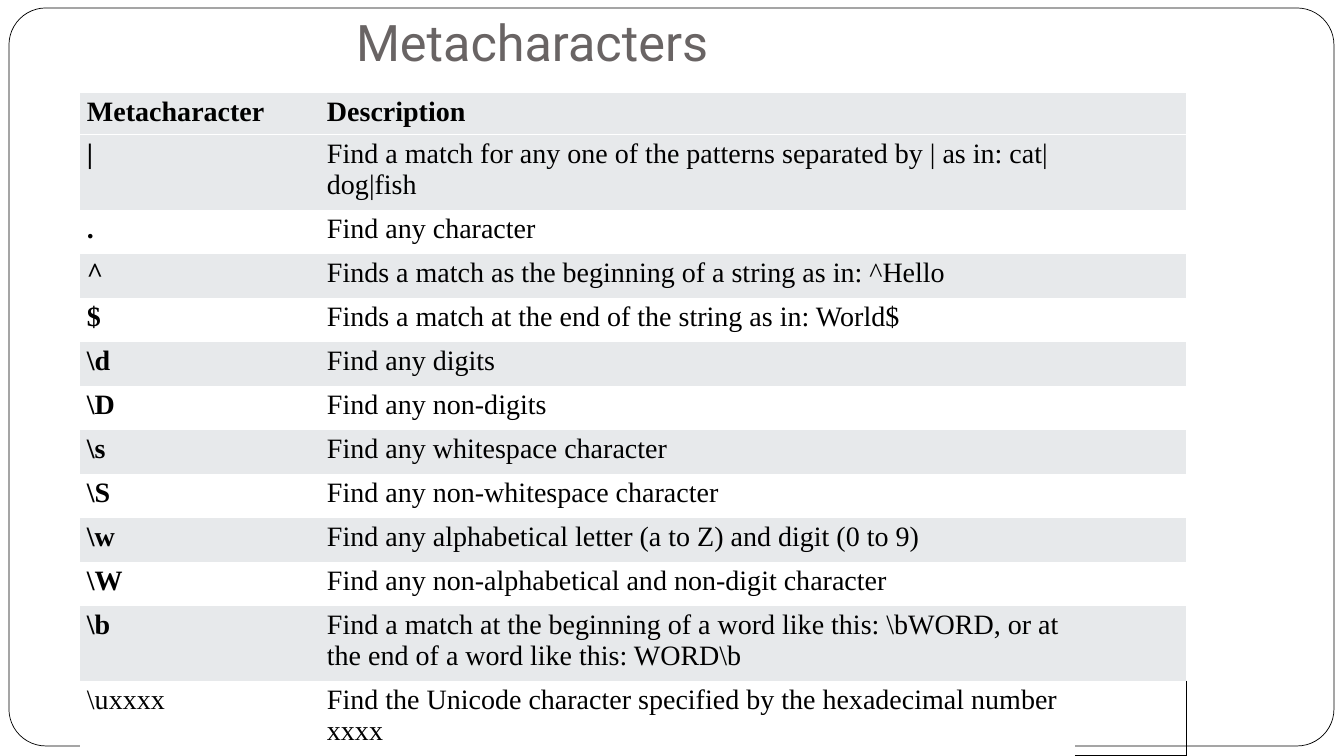
from lxml import etree
from pptx import Presentation
from pptx.dml.color import RGBColor as RGB
from pptx.enum.shapes import MSO_SHAPE as SHAPE
from pptx.enum.text import MSO_ANCHOR as ANCHOR
from pptx.oxml.ns import qn
from pptx.util import Pt

PX = 914400 / 100.8
COLORS = {"paper": "FFFFFF", "ink": "000000", "title": "696464", "band": "E7E9EB"}
NO_GRID = "{2D5ABB26-0587-4C30-8999-92F81FD0307C}"
ROWS = [
    ("Metacharacter", "Description"),
    ("|", "Find a match for any one of the patterns separated by | as in: cat|dog|fish"),
    (".", "Find any character"),
    ("^", "Finds a match as the beginning of a string as in: ^Hello"),
    ("$", "Finds a match at the end of the string as in: World$"),
    (r"\d", "Find any digits"),
    (r"\D", "Find any non-digits"),
    (r"\s", "Find any whitespace character"),
    (r"\S", "Find any non-whitespace character"),
    (r"\w", "Find any alphabetical letter (a to Z) and digit (0 to 9)"),
    (r"\W", "Find any non-alphabetical and non-digit character"),
    (r"\b", r"Find a match at the beginning of a word like this: \bWORD, "
            r"or at the end of a word like this: WORD\b"),
    (r"\uxxxx", "Find the Unicode character specified by the hexadecimal number xxxx"),
]
COLS = [243, 752, 111]
HEIGHTS = [38, 70] + [44] * 9 + [69, 71]


def px(*values):
    return [round(v * PX) for v in values]


def rgb(name):
    return RGB.from_string(COLORS[name])


class Deck:
    """Holds the text styles and the current slide."""

    styles = {
        "title": {"name": "Roboto", "size": Pt(36), "bold": False},
        "head": {"name": "Times New Roman", "size": Pt(20), "bold": True},
        "body": {"name": "Times New Roman", "size": Pt(20), "bold": False},
    }

    def __init__(self, width, height):
        self.prs = Presentation()
        self.prs.slide_width, self.prs.slide_height = px(width, height)
        self.s = self.prs.slides.add_slide(self.prs.slide_layouts[6])

    def add_text(self, tf, text, style, color):
        r = tf.paragraphs[0].add_run()
        r.text = text
        for key, value in self.styles[style].items():
            setattr(r.font, key, value)
        r.font.color.rgb = rgb(color)

    def frame(self, *box):
        sp = self.s.shapes.add_shape(SHAPE.ROUNDED_RECTANGLE, *px(*box))
        sp.adjustments[0] = 0.05
        sp.shadow.inherit = False
        sp.fill.solid()
        sp.fill.fore_color.rgb = rgb("paper")
        sp.line.color.rgb = rgb("ink")
        sp.line.width = Pt(0.5)

    def title(self, text, *box):
        tf = self.s.shapes.add_textbox(*px(*box)).text_frame
        tf.word_wrap = True
        tf.vertical_anchor = ANCHOR.TOP
        tf.margin_left, tf.margin_top, tf.margin_bottom = px(10, 0, 0)
        self.add_text(tf, text, "title", "title")

    def border(self, cell, sides, color):
        tc_pr = cell._tc.get_or_add_tcPr()
        for i, side in enumerate(sides):
            ln = etree.Element(qn(f"a:ln{side}"), w=str(Pt(0.75)))
            fill = etree.SubElement(ln, qn("a:solidFill"))
            etree.SubElement(fill, qn("a:srgbClr"), val=COLORS[color])
            tc_pr.insert(i, ln)

    def cell(self, cell, text, style, fill, left):
        margins = px(left, 4, 4, 4)
        for side, value in zip(("left", "top", "right", "bottom"), margins):
            setattr(cell, f"margin_{side}", value)
        cell.vertical_anchor = ANCHOR.TOP
        if fill:
            cell.fill.solid()
            cell.fill.fore_color.rgb = rgb(fill)
        else:
            cell.fill.background()
        if text:
            self.add_text(cell.text_frame, text, style, "ink")

    def table(self, x, y, rows, cols, heights):
        box = px(x, y, sum(cols), sum(heights))
        tbl = self.s.shapes.add_table(len(rows), len(cols), *box).table
        tbl.first_row = tbl.horz_banding = False
        tbl._tbl.tblPr.find(qn("a:tableStyleId")).text = NO_GRID
        for col, width in zip(tbl.columns, px(*cols)):
            col.width = width
        for row, height in zip(tbl.rows, px(*heights)):
            row.height = height
        last = len(rows) - 1
        for i, texts in enumerate(rows):
            fill = "band" if i == 0 or i % 2 else "paper"
            for j, text in enumerate((*texts, "")):
                bold = i == 0 or (j == 0 and i < last)
                corner = i == last and j == len(cols) - 1
                self.cell(tbl.cell(i, j), text, "head" if bold else "body",
                          None if corner else fill, 4 if j else 7)
                if i == 0:
                    self.border(tbl.cell(i, j), "B", "paper")
        self.border(tbl.cell(last, len(cols) - 1), "RB", "ink")


def main():
    deck = Deck(1344, 756)
    deck.frame(9, 8, 1325, 738)
    deck.title("Metacharacters", 346, 11, 900, 60)
    deck.table(80, 93, ROWS, COLS, HEIGHTS)
    deck.prs.save("out.pptx")


if __name__ == "__main__":
    main()
